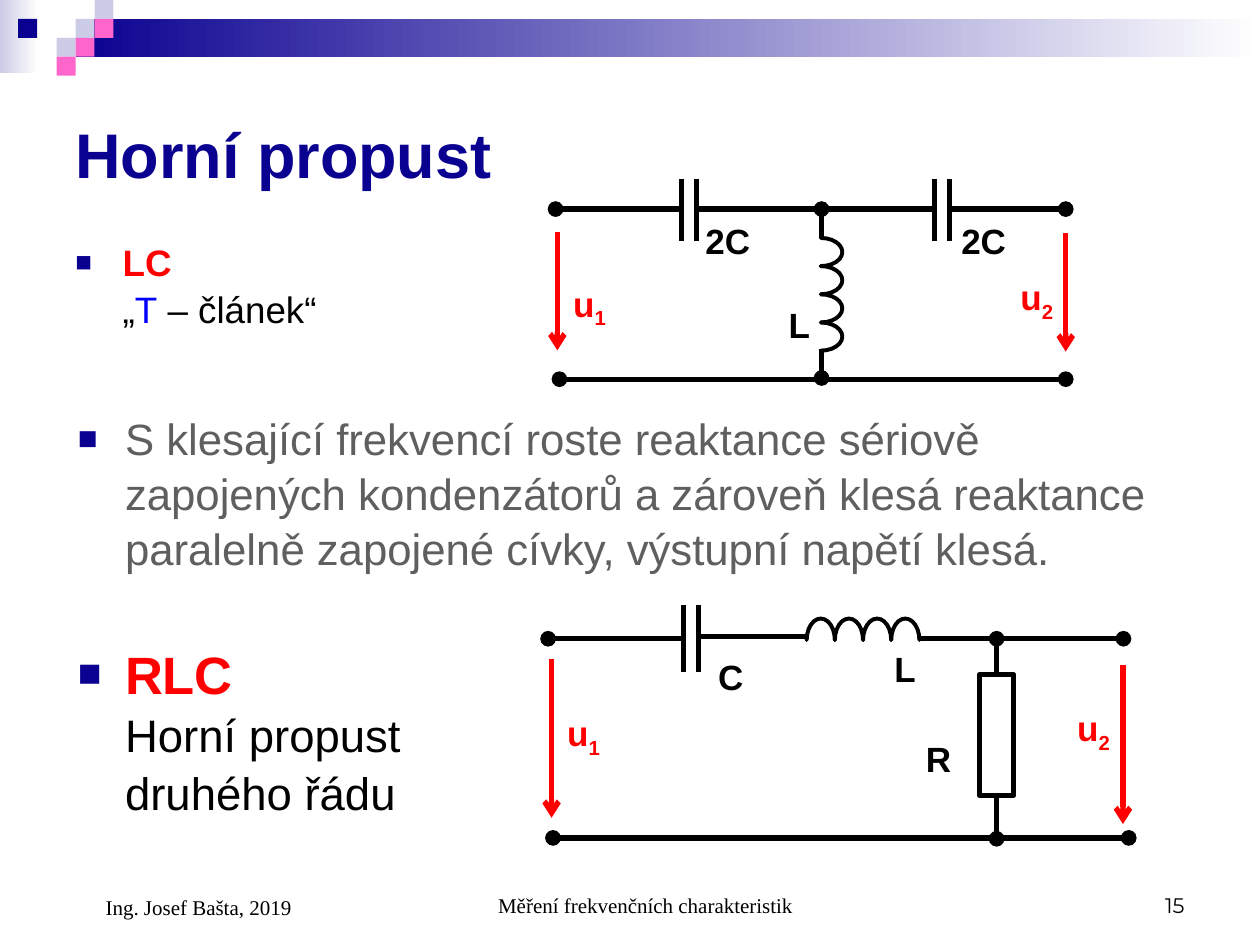
"""Builds the slide on high-pass filters with an LC and an RLC circuit."""
from dataclasses import dataclass
from typing import Any, Optional

import lxml.etree
import pptx
import pptx.dml.color
import pptx.enum.shapes
import pptx.enum.text
import pptx.oxml.ns
import pptx.util

Pt = pptx.util.Pt
Align = pptx.enum.text.PP_ALIGN
Anchor = pptx.enum.text.MSO_ANCHOR
Shape = pptx.enum.shapes.MSO_SHAPE


@dataclass(frozen=True)
class Theme:
    navy: str = "0B0191"
    lilac: str = "CCCCE6"
    pink: str = "FF66CC"
    white: str = "FFFFFF"
    black: str = "000000"
    red: str = "FF0000"
    blue: str = "0000FF"
    grey: str = "5F5F5F"
    coil: str = "CBBDFF"
    sans: str = "Arial"
    serif: str = "Times New Roman"
    number: str = "Montserrat"
    title: float = 36
    body: float = 25
    lc: float = 21
    rlc: float = 30
    rlc_note: float = 26
    label: float = 20
    footer: float = 12
    wire: float = 3
    winding: float = 2.25


T = Theme()


@dataclass(frozen=True)
class Run:
    text: str
    size: float
    color: str = T.black
    bold: bool = False
    font: str = T.sans
    subscript: bool = False


@dataclass(frozen=True)
class Box:
    x: float
    y: float
    w: float
    h: float


@dataclass(frozen=True)
class Wire:
    x1: float
    y1: float
    x2: float
    y2: float
    head: Optional[str] = None
    tail: Optional[str] = None
    color: str = T.black


@dataclass(frozen=True)
class Label:
    x: float
    y: float
    text: str
    sub: str = ""
    color: str = T.black


def rgb(value: str) -> Any:
    return pptx.dml.color.RGBColor.from_string(value)


def sub(parent: Any, tag: str, **attrs: str) -> Any:
    return lxml.etree.SubElement(parent, pptx.oxml.ns.qn(tag), attrs)


def add_shape(s: Any, kind: Any, box: Box, fill: str, line: Optional[str] = None, width: float = 0) -> Any:
    sp = s.shapes.add_shape(kind, Pt(box.x), Pt(box.y), Pt(box.w), Pt(box.h))
    sp.shadow.inherit = False
    sp.fill.solid()
    sp.fill.fore_color.rgb = rgb(fill)
    if line:
        sp.line.color.rgb = rgb(line)
        sp.line.width = Pt(width)
    else:
        sp.line.fill.background()
    return sp


def add_gradient(s: Any, box: Box, left: str, right: str) -> None:
    sp = add_shape(s, Shape.RECTANGLE, box, left)
    sp.fill.gradient()
    sp.fill.gradient_angle = 0
    for stop, color, position in zip(sp.fill.gradient_stops, (left, right), (0, 1)):
        stop.color.rgb = rgb(color)
        stop.position = position


def add_bullet(p: Any) -> None:
    pPr = p._p.get_or_add_pPr()
    pPr.set("marL", str(Pt(27)))
    pPr.set("indent", str(-Pt(27)))
    sub(sub(pPr, "a:buClr"), "a:srgbClr", val=T.navy)
    sub(pPr, "a:buSzPct", val="75000")
    sub(pPr, "a:buFont", typeface=T.sans)
    sub(pPr, "a:buChar", char="■")
    p.line_spacing = 1.05


def add_text(s: Any, box: Box, lines: list[list[Run]], bullet: bool = False,
             anchor: Any = Anchor.TOP, align: Any = Align.LEFT, indent: float = 0) -> None:
    tf = s.shapes.add_textbox(Pt(box.x), Pt(box.y), Pt(box.w), Pt(box.h)).text_frame
    tf.word_wrap = True
    tf.vertical_anchor = anchor
    p = tf.paragraphs[0]
    p.alignment = align
    if bullet:
        add_bullet(p)
    elif indent:
        p._p.get_or_add_pPr().set("marL", str(Pt(indent)))
    for i, line in enumerate(lines):
        if i:
            p.add_line_break()
        for run in line:
            r = p.add_run()
            r.text = run.text
            r.font.name = run.font
            r.font.size = Pt(run.size)
            r.font.bold = run.bold
            r.font.color.rgb = rgb(run.color)
            if run.subscript:
                r.font._element.set("baseline", "-25000")


def add_wire(s: Any, wire: Wire) -> Any:
    cx = s.shapes.add_connector(pptx.enum.shapes.MSO_CONNECTOR.STRAIGHT,
                                Pt(wire.x1), Pt(wire.y1), Pt(wire.x2), Pt(wire.y2))
    cx.line.color.rgb = rgb(wire.color)
    cx.line.width = Pt(T.wire)
    ln = cx.line._get_or_add_ln()
    for tag, kind in (("a:headEnd", wire.head), ("a:tailEnd", wire.tail)):
        if kind:
            sub(ln, tag, type=kind)
    sub(cx._element.spPr, "a:effectLst")
    return cx


def add_label(s: Any, label: Label) -> None:
    runs = [Run(label.text, T.label, label.color, True)]
    if label.sub:
        runs.append(Run(label.sub, T.label, label.color, True, subscript=True))
    add_text(s, Box(label.x, label.y, 46, 32), [runs])


def add_coil(s: Any, x: float, y: float, vertical: bool) -> None:
    pitch = 16.1
    for i in range(4):
        dx, dy = (0, i * pitch) if vertical else (i * pitch, 0)
        sp = add_shape(s, Shape.BLOCK_ARC, Box(x + dx, y + dy, pitch, 24.5), T.coil, T.black, T.winding)
        for k, value in enumerate((107.89, 0.11, 0)):
            sp.adjustments[k] = value
        sp.rotation = 90 if vertical else 0


def add_capacitor(s: Any, x: float, top: float, bottom: float) -> None:
    for plate in (x, x + 8.5):
        add_wire(s, Wire(plate, top, plate, bottom))


def add_voltage(s: Any, x: float, top: float, bottom: float, label: Label) -> None:
    add_wire(s, Wire(x, top, x, bottom, tail="arrow", color=T.red))
    add_label(s, label)


def draw_header(s: Any) -> None:
    cell = 10.8
    add_gradient(s, Box(0, 0, 22, 42), T.lilac, T.white)
    add_gradient(s, Box(43.2, cell, 676.8, 21.6), T.navy, T.white)
    for col, row, color in ((4, 1, T.lilac), (5, 0, T.lilac), (5, 1, T.pink), (3, 2, T.lilac),
                            (1, 1, T.navy), (4, 2, T.pink), (3, 3, T.pink)):
        add_shape(s, Shape.RECTANGLE, Box(col * cell - 0.4 * (col == 1), row * cell, cell, cell), color)


def draw_lc_circuit(s: Any) -> None:
    top, bottom, mid = 119.5, 216.7, 469.5
    add_coil(s, 461, 131.8, vertical=True)
    for x in (389.5, 534.2):
        add_capacitor(s, x, 102.2, 137.5)
    for wire in (Wire(mid, 216, mid, 199.4, head="oval"), Wire(mid, 136, mid, top, tail="oval"),
                 Wire(609, bottom, 319.7, bottom, "oval", "oval"),
                 Wire(389, top, 317.5, top, tail="oval"), Wire(534.2, top, 397.5, top),
                 Wire(609, top, 543.5, top, head="oval")):
        add_wire(s, wire)
    add_voltage(s, 318.5, 132.5, 200.2, Label(320.4, 157.7, "u", "1", T.red))
    add_voltage(s, 609, 133.2, 200.9, Label(576, 154, "u", "2", T.red))
    for label in (Label(443.5, 170, "L"), Label(396, 121.7, "2C"), Label(542.2, 121.7, "2C")):
        add_label(s, label)


def draw_rlc_circuit(s: Any) -> None:
    top, bottom, mid = 365, 478.8, 569.5
    resistor = add_shape(s, Shape.RECTANGLE, Box(mid - 9.75, 385.5, 19.5, 69), T.white, T.black, T.wire)
    add_coil(s, 461, 353.5, vertical=False)
    add_capacitor(s, 390.7, 345.6, 383.8)
    for wire in (Wire(645, bottom, 316, bottom, "oval", "oval"), Wire(390, top, 313.2, top, tail="oval"),
                 Wire(461, 363.6, 399.6, 363.6), Wire(642, top, 525.6, top, head="oval")):
        add_wire(s, wire)
    add_wire(s, Wire(mid, top, mid, 385.5, head="oval")).end_connect(resistor, 0)
    add_wire(s, Wire(mid, 479.3, mid, 454.5, head="oval")).end_connect(resistor, 2)
    add_voltage(s, 315.2, 376.6, 467.3, Label(317, 403.2, "u", "1", T.red))
    add_voltage(s, 641.7, 380.2, 470.9, Label(608.4, 400.3, "u", "2", T.red))
    for label in (Label(504, 366.5, "L"), Label(403.2, 370.8, "C"), Label(522, 417.6, "R")):
        add_label(s, label)


def draw_texts(s: Any) -> None:
    add_text(s, Box(36, 44.6, 275, 86.4), [[Run("Horní propust", T.title, T.navy, True)]], anchor=Anchor.MIDDLE)
    add_text(s, Box(37.4, 230.4, 648, 102.2), [[Run(
        "S klesající frekvencí roste reaktance sériově zapojených kondenzátorů a zároveň klesá "
        "reaktance paralelně zapojené cívky, výstupní napětí klesá.", T.body, T.grey)]], bullet=True)
    add_text(s, Box(36, 132.5, 252, 84.2), [
        [Run("LC", T.lc, T.red, True)],
        [Run("„", T.lc), Run("T", T.lc, T.blue), Run(" – článek“", T.lc)]], bullet=True)
    add_text(s, Box(37.4, 361.4, 252, 134.6), [
        [Run("RLC", T.rlc, T.red, True)], [Run("Horní propust druhého řádu", T.rlc_note)]], bullet=True)
    for box, text, font, align, indent in (
            (Box(246.2, 491.8, 228.2, 36), "Měření frekvenčních charakteristik", T.serif, Align.CENTER, 17.3),
            (Box(516.2, 491.8, 167.8, 36), "15", T.number, Align.RIGHT, 0),
            (Box(36, 491.8, 167.8, 37.4), "Ing. Josef Bašta, 2019", T.serif, Align.LEFT, 17.3)):
        add_text(s, box, [[Run(text, T.footer, font=font)]], anchor=Anchor.BOTTOM, align=align, indent=indent)


def main() -> None:
    prs = pptx.Presentation()
    prs.slide_width, prs.slide_height = Pt(720), Pt(540)
    s = prs.slides.add_slide(prs.slide_layouts[6])
    draw_header(s)
    draw_texts(s)
    draw_lc_circuit(s)
    draw_rlc_circuit(s)
    prs.save("out.pptx")


if __name__ == "__main__":
    main()
